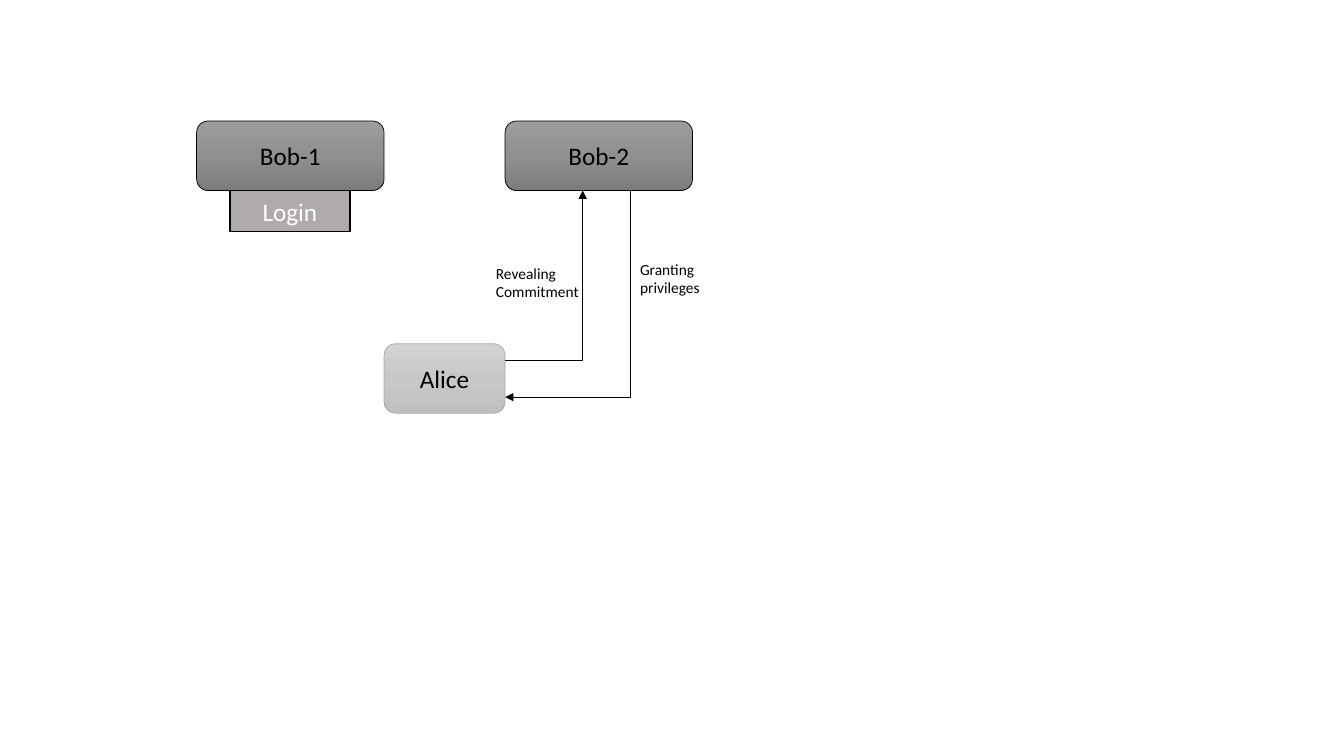
"""Draw the commitment exchange between Alice and the two Bobs."""
from copy import deepcopy

from pptx import Presentation
from pptx.dml.color import RGBColor
from pptx.enum.shapes import MSO_CONNECTOR, MSO_SHAPE
from pptx.enum.text import MSO_ANCHOR, MSO_AUTO_SIZE, PP_ALIGN
from pptx.oxml.ns import qn
from pptx.oxml.xmlchemy import OxmlElement
from pptx.util import Inches, Pt


def rgb(value):
    return RGBColor.from_string(value)


def write(tf, text, size=18, color="000000", align=PP_ALIGN.CENTER, font="Calibri"):
    tf.word_wrap = True
    p = tf.paragraphs[0]
    p.alignment = align
    r = p.add_run()
    r.text = text
    r.font.size = Pt(size)
    r.font.name = font
    r.font.color.rgb = rgb(color)


class Diagram:
    dark = ("9D9D9D", "909090", "7C7C7C")
    light = ("D2D2D2", "C8C8C8", "C0C0C0")
    ink = "000000"

    def __init__(self, slide):
        self.slide = slide

    def outline(self, sp, color, width):
        sp.line.color.rgb = rgb(color)
        sp.line.width = Pt(width)

    def box(self, kind, text, x, y, w, h, line, width, color):
        sp = self.slide.shapes.add_shape(kind, Inches(x), Inches(y), Inches(w), Inches(h))
        sp.shadow.inherit = False
        self.outline(sp, line, width)
        sp.text_frame.vertical_anchor = MSO_ANCHOR.MIDDLE
        write(sp.text_frame, text, color=color)
        return sp

    def party(self, text, x, y, w, colors, line):
        sp = self.box(MSO_SHAPE.ROUNDED_RECTANGLE, text, x, y, w, 0.69, line, 0.5, self.ink)
        sp.fill.gradient()
        sp.fill.gradient_angle = 270
        stops = sp._element.spPr.find(qn("a:gradFill")).find(qn("a:gsLst"))
        stops.insert(1, deepcopy(stops[0]))
        for stop, color, position in zip(sp.fill.gradient_stops, colors, (0, 0.5, 1)):
            stop.color.rgb = rgb(color)
            stop.position = position

    def tab(self, text, x, y, w, h, fill):
        sp = self.box(MSO_SHAPE.RECTANGLE, text, x, y, w, h, self.ink, 1, "FFFFFF")
        sp.fill.solid()
        sp.fill.fore_color.rgb = rgb(fill)

    def label(self, text, x, y, w):
        sp = self.slide.shapes.add_textbox(Inches(x), Inches(y), Inches(w), Inches(0.47))
        write(sp.text_frame, text, size=11, align=PP_ALIGN.LEFT)
        sp.text_frame.auto_size = MSO_AUTO_SIZE.SHAPE_TO_FIT_TEXT

    def elbow(self, x1, y1, x2, y2, arrow):
        sp = self.slide.shapes.add_connector(
            MSO_CONNECTOR.ELBOW, Inches(x1), Inches(y1), Inches(x2), Inches(y2))
        self.outline(sp, self.ink, 0.5)
        spPr = sp._element.spPr
        spPr.find(qn("a:prstGeom")).set("prst", "bentConnector2")
        end = OxmlElement(arrow)
        end.set("type", "triangle")
        spPr.find(qn("a:ln")).append(end)
        spPr.append(OxmlElement("a:effectLst"))


def main():
    prs = Presentation()
    prs.slide_width, prs.slide_height = Inches(13.33), Inches(7.5)
    d = Diagram(prs.slides.add_slide(prs.slide_layouts[6]))
    for text, x in (("Bob-1", 1.95), ("Bob-2", 5.01)):
        d.party(text, x, 1.2, 1.86, d.dark, d.ink)
    d.party("Alice", 3.81, 3.41, 1.2, d.light, "A5A5A5")
    d.tab("Login", 2.28, 1.89, 1.19, 0.41, "AFABAB")
    d.elbow(5.01, 3.58, 5.78, 1.89, "a:tailEnd")
    d.label("Revealing Commitment", 4.82, 2.57, 1.07)
    d.elbow(5.01, 3.94, 6.25, 1.89, "a:headEnd")
    d.label("Granting privileges", 6.25, 2.53, 1.36)
    prs.save("out.pptx")


if __name__ == "__main__":
    main()
